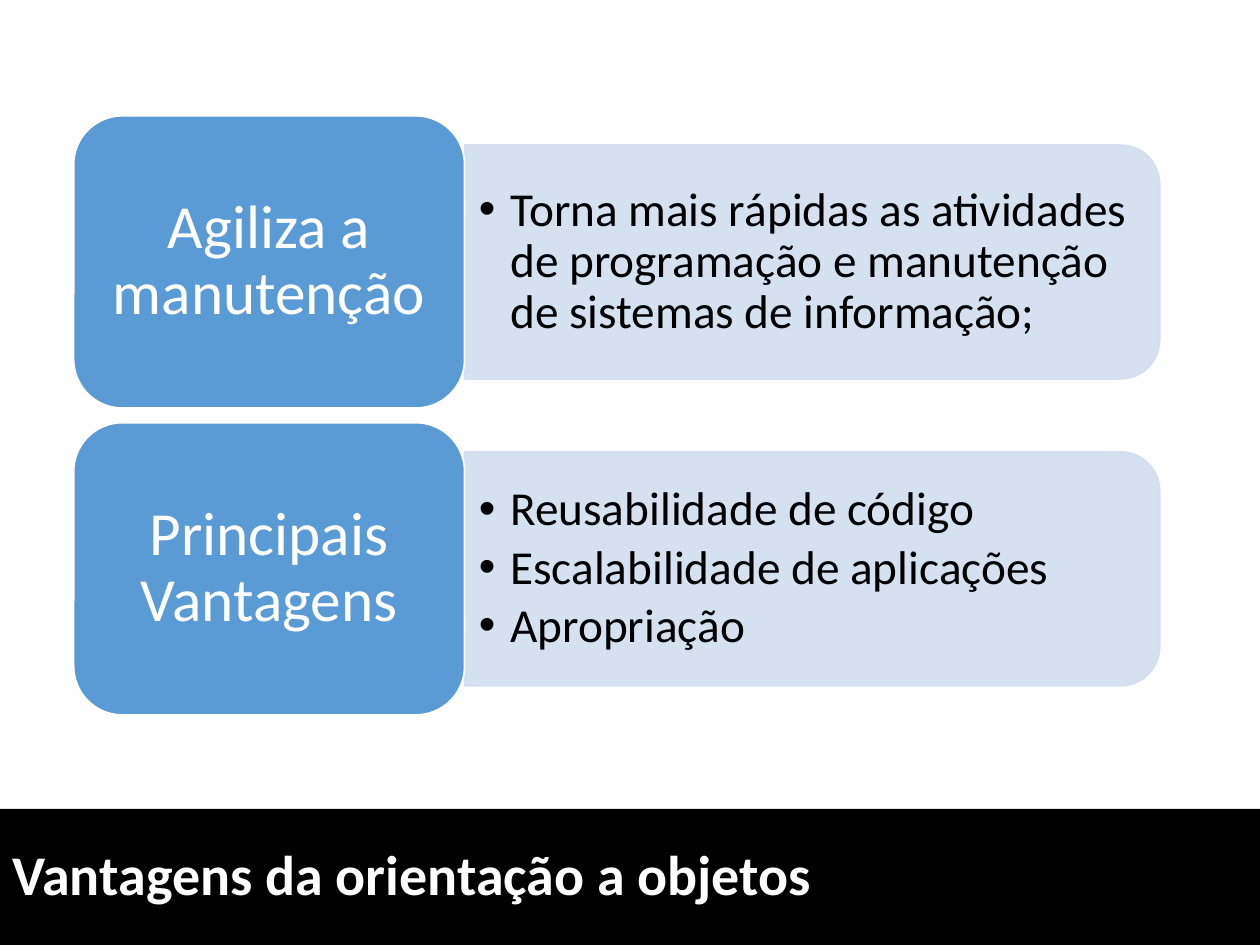
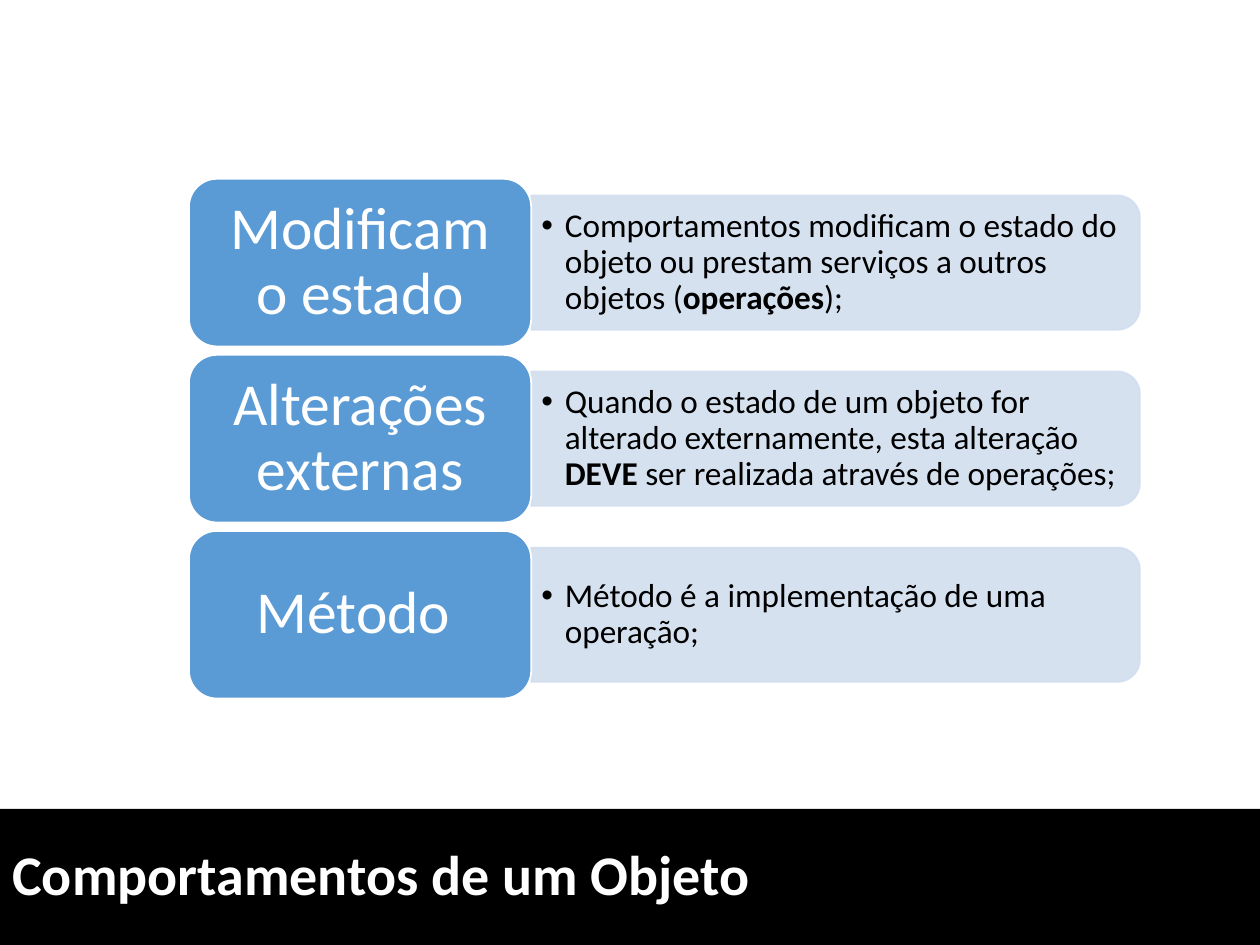
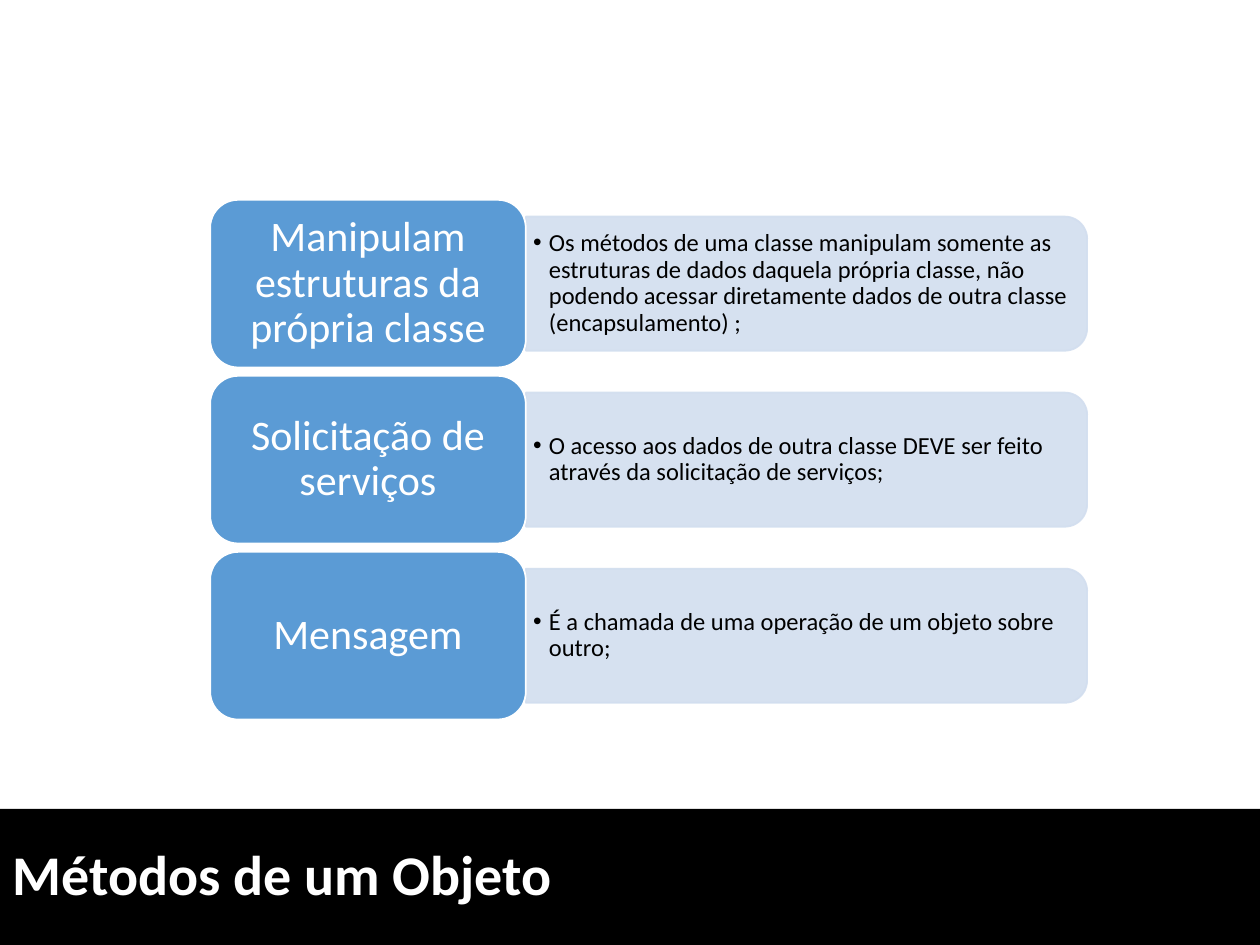
from pptx import Presentation
from pptx.dml.color import RGBColor
from pptx.enum.shapes import MSO_SHAPE
from pptx.enum.text import MSO_ANCHOR, PP_ALIGN
from pptx.oxml.ns import qn
from pptx.util import Pt
from lxml import etree

RECTANGLE = MSO_SHAPE.RECTANGLE
ROUNDED = MSO_SHAPE.ROUNDED_RECTANGLE
ROUNDED_TOP = MSO_SHAPE.ROUND_2_SAME_RECTANGLE
MIDDLE = MSO_ANCHOR.MIDDLE
LEFT = PP_ALIGN.LEFT
CENTER = PP_ALIGN.CENTER

BLACK, WHITE, BLUE, PALE_BLUE = "000000", "FFFFFF", "5B9BD5", "D2DEEF"
FONT = "Calibri"
SLIDE_WIDTH, SLIDE_HEIGHT = 720, 540
BAND_TOP = 462.2
TITLE_SIZE = 32

# Proportions shared by every block list
PITCH = 1.05           # distance between rows, in label heights
PANEL_HEIGHT = 0.8     # in label heights
PANEL_WIDTH = 16 / 9   # in label widths
CORNER_INSET = 0.0488  # text inset caused by a round corner, in shape heights

# Text between double asterisks is bold.
SLIDES = [
    {
        "title": "Vantagens da orientação a objetos",
        "left": 42.1, "top": 66.2, "label_width": 223.4, "label_height": 167,
        "label_size": 35, "panel_size": 27, "indent": 18,
        "rows": [
            ("Agiliza a manutenção",
             ["Torna mais rápidas as atividades de programação e manutenção "
              "de sistemas de informação;"]),
            ("Principais Vantagens",
             ["Reusabilidade de código", "Escalabilidade de aplicações",
              "Apropriação"]),
        ],
    },
    {
        "title": "Comportamentos de um Objeto",
        "left": 108, "top": 102.2, "label_width": 195.6, "label_height": 95.8,
        "label_size": 34, "panel_size": 19, "indent": 13.5,
        "rows": [
            ("Modificam o estado",
             ["Comportamentos modificam o estado do objeto ou prestam serviços "
              "a outros objetos (**operações**);"]),
            ("Alterações externas",
             ["Quando o estado de um objeto for alterado externamente, esta "
              "alteração **DEVE **ser realizada através de operações;"]),
            ("Método ", ["Método é a implementação de uma operação;"]),
        ],
    },
    {
        "title": "Métodos de um Objeto",
        "left": 120.1, "top": 114.2, "label_width": 180.4, "label_height": 95.8,
        "label_size": 24, "panel_size": 14, "indent": 9,
        "rows": [
            ("Manipulam estruturas da própria classe",
             ["Os métodos de uma classe manipulam somente as estruturas de dados "
              "daquela própria classe, não podendo acessar diretamente dados de "
              "outra classe (encapsulamento) ;"]),
            ("Solicitação de serviços",
             ["O acesso aos dados de outra classe DEVE ser feito através da "
              "solicitação de serviços;"]),
            ("Mensagem",
             ["É a chamada de uma operação de um objeto sobre outro;"]),
        ],
    },
]


def color(hex_string):
    """Return the colour for a hex string."""
    return RGBColor.from_string(hex_string)


def add_block(slide, kind, box, fill, line=None):
    """Add a filled preset shape at box (left, top, width, height)."""
    shape = slide.shapes.add_shape(kind, *[Pt(length) for length in box])
    shape.shadow.inherit = False
    shape.fill.solid()
    shape.fill.fore_color.rgb = color(fill)
    if line:
        shape.line.color.rgb = color(line)
        shape.line.width = Pt(1)
    else:
        shape.line.fill.background()
    return shape


def write(shape, texts, size, hex_string, align=LEFT, bold=False, indent=0,
          space_after=0, margin=7.2):
    """Write paragraphs, with bullets if there is an indent."""
    frame = shape.text_frame
    frame.word_wrap = True
    frame.vertical_anchor = MIDDLE
    frame.margin_left = frame.margin_right = Pt(margin)
    frame.margin_top = frame.margin_bottom = Pt(margin / 2)
    for number, text in enumerate(texts):
        paragraph = frame.add_paragraph() if number else frame.paragraphs[0]
        paragraph.alignment = align
        paragraph.line_spacing = 0.9
        paragraph.space_after = Pt(space_after)
        if indent:
            properties = paragraph._p.get_or_add_pPr()
            properties.set("marL", str(Pt(indent)))
            properties.set("indent", str(-Pt(indent)))
            etree.SubElement(properties, qn("a:buFont"), typeface="Arial")
            etree.SubElement(properties, qn("a:buChar"), char="•")
        for part, words in enumerate(text.split("**")):
            run = paragraph.add_run()
            run.text = words
            run.font.name = FONT
            run.font.size = Pt(size)
            run.font.bold = bold or part % 2 == 1
            run.font.color.rgb = color(hex_string)


presentation = Presentation()
presentation.slide_width = Pt(SLIDE_WIDTH)
presentation.slide_height = Pt(SLIDE_HEIGHT)

for content in SLIDES:
    slide = presentation.slides.add_slide(presentation.slide_layouts[6])
    label_width, label_height = content["label_width"], content["label_height"]
    label_size, panel_size = content["label_size"], content["panel_size"]
    panel_left = content["left"] + label_width
    panel_width = label_width * PANEL_WIDTH
    panel_height = label_height * PANEL_HEIGHT
    inset = panel_height * CORNER_INSET

    for row, (label_text, bullets) in enumerate(content["rows"]):
        label_top = content["top"] + row * label_height * PITCH
        panel_top = label_top + (label_height - panel_height) / 2

        # The panel is an upright shape turned by 90 degrees about its centre
        turn = (panel_width - panel_height) / 2
        panel = add_block(slide, ROUNDED_TOP,
                          (panel_left + turn, panel_top - turn,
                           panel_height, panel_width), PALE_BLUE, PALE_BLUE)
        panel.rotation = 90
        for fill_color in panel.element.spPr.iter(qn("a:srgbClr")):
            etree.SubElement(fill_color, qn("a:alpha"), val="90000")

        panel_text = slide.shapes.add_textbox(
            Pt(panel_left), Pt(panel_top + inset),
            Pt(panel_width - inset), Pt(panel_height - 2 * inset))
        write(panel_text, bullets, panel_size, BLACK, indent=content["indent"],
              space_after=panel_size * 0.15, margin=panel_size * 0.3)

        label = add_block(slide, ROUNDED,
                          (content["left"], label_top, label_width, label_height),
                          BLUE, WHITE)
        write(label, [label_text], label_size, WHITE, align=CENTER,
              margin=label_size * 0.3)

    band = add_block(slide, RECTANGLE,
                     (0, BAND_TOP, SLIDE_WIDTH, SLIDE_HEIGHT - BAND_TOP), BLACK)
    write(band, [content["title"]], TITLE_SIZE, WHITE, bold=True)

presentation.save("out.pptx")
